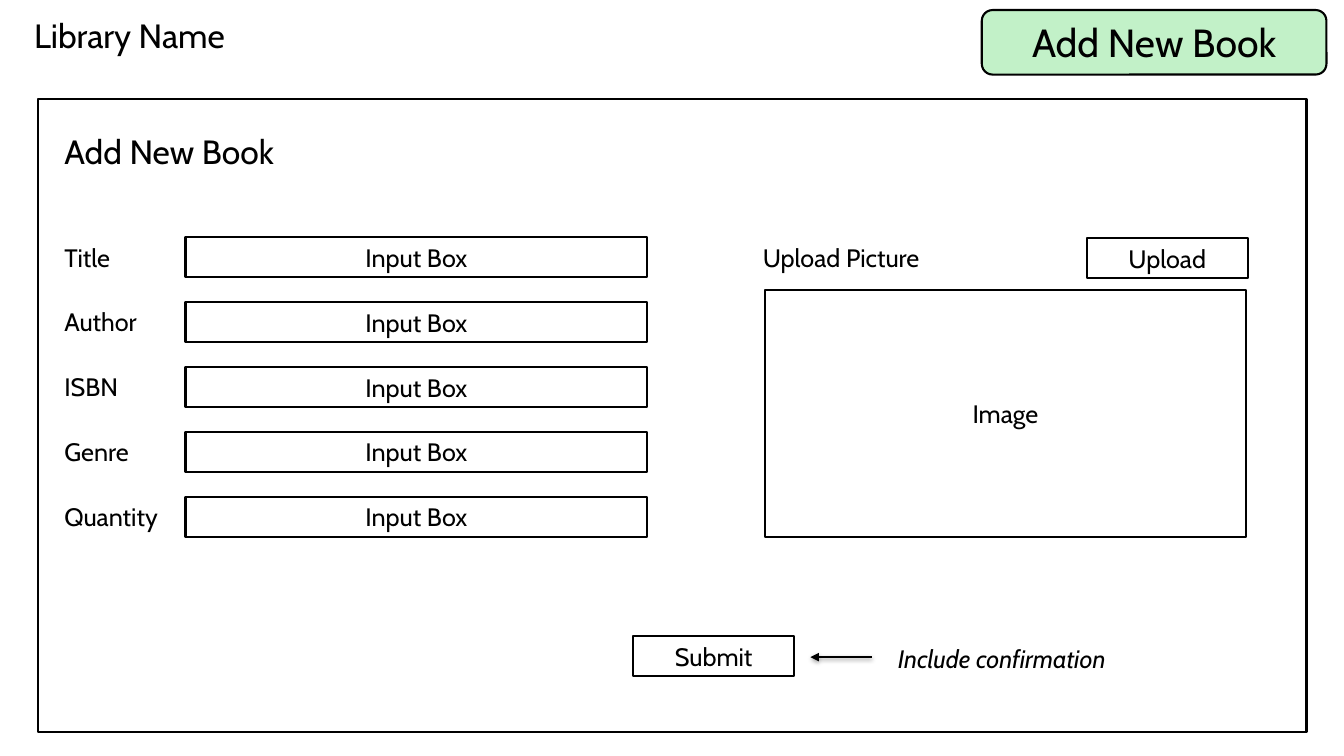
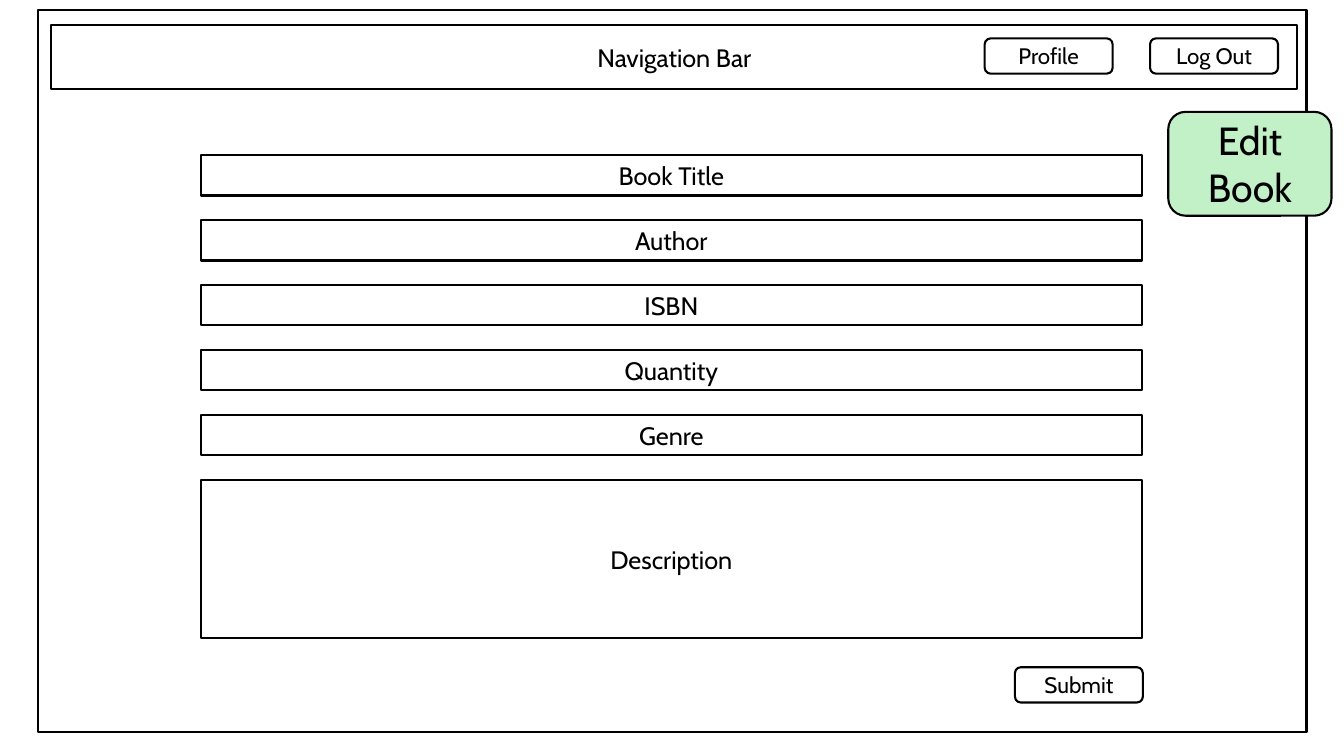
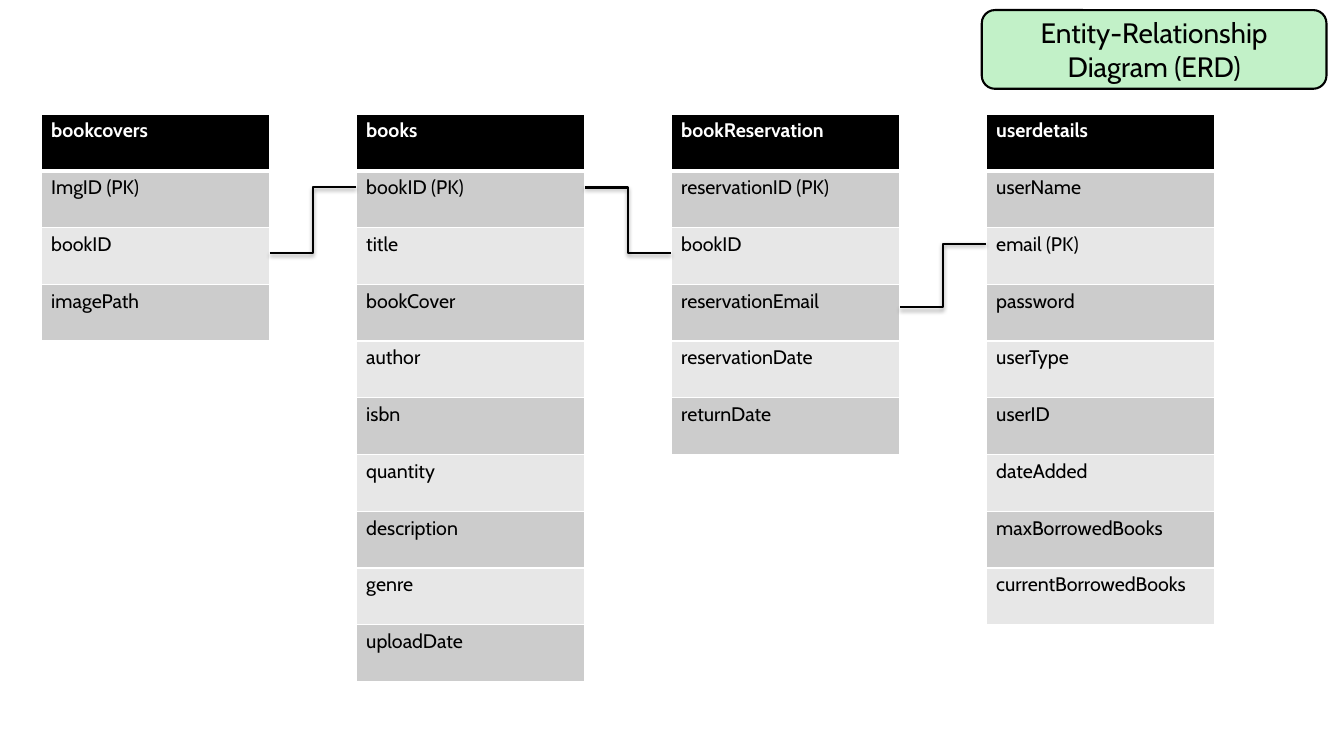
from lxml import etree
from pptx import Presentation
from pptx.dml.color import RGBColor
from pptx.enum.shapes import MSO_CONNECTOR, MSO_SHAPE
from pptx.enum.text import MSO_ANCHOR, PP_ALIGN
from pptx.oxml.ns import qn
from pptx.util import Pt

RECT, ROUND = MSO_SHAPE.RECTANGLE, MSO_SHAPE.ROUNDED_RECTANGLE
STRAIGHT, ELBOW = MSO_CONNECTOR.STRAIGHT, MSO_CONNECTOR.ELBOW
LEFT, CENTER = PP_ALIGN.LEFT, PP_ALIGN.CENTER
TOP, MIDDLE = MSO_ANCHOR.TOP, MSO_ANCHOR.MIDDLE

BLACK = RGBColor(0x00, 0x00, 0x00)
WHITE = RGBColor(0xFF, 0xFF, 0xFF)
GREEN = RGBColor(0xC2, 0xF1, 0xC8)
BANDS = (RGBColor(0xE7, 0xE7, 0xE7), RGBColor(0xCC, 0xCC, 0xCC))
FONT = "Cabin"
LINE_WIDTH = 1.5

# Shared layout, in points
FRAME_LEFT, FRAME_WIDTH = 27.4, 905.8
FIELD_HEIGHT, FIELD_PITCH = 28.8, 46.4
BUTTON_SIZE = (115.2, 28.8)
ROUND_BUTTON_SIZE = (91.4, 25.2)

# Add New Book form
INPUT_LABELS = ["Title", "Author", "ISBN", "Genre", "Quantity"]
INPUT_TOP = 169.2
FORM_TEXTS = [  # text, left, top, width, format
    ("Library Name", 17.3, 7.2, 411.8, {"size": Pt(24)}),
    ("Add New Book", 38.9, 90, 411.8, {"size": Pt(24)}),
    ("Upload Picture", 537.8, INPUT_TOP, 197.3, {}),
    ("Include confirmation", 634.3, 455.8, 190.1, {"italic": True}),
]
FORM_BOXES = [
    ("Upload", (776.2, 169.9, *BUTTON_SIZE)),
    ("Submit", (452.2, 454.3, *BUTTON_SIZE)),
    ("Image", (546.5, 207.4, 343.4, 176.4)),
]

# Edit Book form
EDIT_FIELDS = ["Book Title", "Author", "ISBN", "Quantity", "Genre", "Description"]
EDIT_TOP, DESCRIPTION_HEIGHT = 110.9, 113
NAV_BUTTONS = [("Profile", 703.4), ("Log Out", 821.5)]

# Entity-relationship diagram
ENTITIES = [
    ["bookcovers", "ImgID (PK)", "bookID", "imagePath"],
    ["books", "bookID (PK)", "title", "bookCover", "author", "isbn", "quantity",
     "description", "genre", "uploadDate"],
    ["bookReservation", "reservationID (PK)", "bookID", "reservationEmail",
     "reservationDate", "returnDate"],
    ["userdetails", "userName", "email (PK)", "password", "userType", "userID",
     "dateAdded", "maxBorrowedBooks", "currentBorrowedBooks"],
]
ENTITY_LEFT, ENTITY_TOP, ENTITY_PITCH = 29.4, 81.4, 225
ENTITY_WIDTH, ROW_HEIGHT = 163.4, 40.55
LINKS = [(180.7, 133.9), (133.9, 180.7), (219.6, 174.2)]  # y at left, y at right


def points(values):
    return [Pt(value) for value in values]


def write(frame, text, align=LEFT, anchor=TOP, **formats):
    frame.word_wrap = True
    frame.vertical_anchor = anchor
    para = frame.paragraphs[0]
    para.alignment = align
    span = para.add_run()
    span.text = text
    color = formats.pop("color", BLACK)
    for name, value in {"name": FONT, "size": Pt(18), **formats}.items():
        setattr(span.font, name, value)
    span.font.color.rgb = color


def add_box(shapes, place, text="", size=18, kind=RECT, fill=WHITE):
    box = shapes.add_shape(kind, *points(place))
    box.shadow.inherit = False
    box.fill.solid()
    box.fill.fore_color.rgb = fill
    box.line.color.rgb = BLACK
    box.line.width = Pt(LINE_WIDTH)
    if text:
        write(box.text_frame, text, CENTER, MIDDLE, size=Pt(size))
    return box


def add_badge(page, text, size=28, place=(701.3, 7.2, 246.2, 46.1)):
    add_box(page.shapes, place, text, size, ROUND, GREEN)


def add_text(page, text, left, top, width, formats):
    box = page.shapes.add_textbox(*points((left, top, width, FIELD_HEIGHT)))
    write(box.text_frame, text, **formats)


def add_link(page, kind, ends, arrow=False):
    link = page.shapes.add_connector(kind, *points(ends))
    link.line.color.rgb = BLACK
    link.line.width = Pt(LINE_WIDTH)
    if arrow:
        etree.SubElement(link.line._get_or_add_ln(), qn("a:tailEnd"), type="triangle")
    effects = etree.SubElement(link._element.spPr, qn("a:effectLst"))
    shadow = etree.SubElement(effects, qn("a:outerShdw"), blurRad="40000",
                              dist="20000", dir="5400000", rotWithShape="0")
    color = etree.SubElement(shadow, qn("a:srgbClr"), val=str(BLACK))
    etree.SubElement(color, qn("a:alpha"), val="38000")


def set_borders(cell, widths):
    properties = cell._tc.get_or_add_tcPr()
    for index, (side, width) in enumerate(widths.items()):
        line = etree.Element(qn("a:ln" + side), w=str(Pt(width)))
        fill = etree.SubElement(line, qn("a:solidFill"))
        etree.SubElement(fill, qn("a:srgbClr"), val=str(WHITE))
        properties.insert(index, line)


def add_entity(page, left, names):
    place = (left, ENTITY_TOP, ENTITY_WIDTH, ROW_HEIGHT * len(names))
    table = page.shapes.add_table(len(names), 1, *points(place)).table
    for index, name in enumerate(names):
        header = index == 0
        table.rows[index].height = Pt(ROW_HEIGHT)
        cell = table.cell(index, 0)
        cell.fill.solid()
        cell.fill.fore_color.rgb = BLACK if header else BANDS[index % 2]
        set_borders(cell, {"L": 1, "R": 1, "T": 3 if index == 1 else 1,
                           "B": 3 if header else 1})
        write(cell.text_frame, name, size=Pt(14), bold=header,
              color=WHITE if header else BLACK)


def build_add_page(page):
    add_badge(page, "Add New Book")
    add_box(page.shapes, (FRAME_LEFT, 70.6, FRAME_WIDTH, 452.2))
    for item in FORM_TEXTS:
        add_text(page, *item)
    for index, label in enumerate(INPUT_LABELS):
        top = INPUT_TOP + index * FIELD_PITCH
        add_text(page, label, 38.9, top, 197.3, {})
        add_box(page.shapes, (132.5, top, 329.8, FIELD_HEIGHT), "Input Box")
    for text, place in FORM_BOXES:
        add_box(page.shapes, place, text)
    add_link(page, STRAIGHT, (622.8, 469.4, 578.9, 469.4), arrow=True)


def build_edit_page(page):
    add_box(page.shapes, (FRAME_LEFT, 7.2, FRAME_WIDTH, 515.5))
    add_badge(page, "Edit Book", place=(834.5, 79.9, 116.6, 74.2))
    # Navigation bar with its buttons
    bar = page.shapes.add_group_shape().shapes
    add_box(bar, (36.7, 18, 889.9, 45.4), "Navigation Bar")
    for text, left in NAV_BUTTONS:
        add_box(bar, (left, 27.4, *ROUND_BUTTON_SIZE), text, 16, ROUND)
    # Stacked fields
    for index, text in enumerate(EDIT_FIELDS):
        height = DESCRIPTION_HEIGHT if text == "Description" else FIELD_HEIGHT
        top = EDIT_TOP + index * FIELD_PITCH
        add_box(page.shapes, (143.3, top, 672.5, height), text)
    add_box(page.shapes, (725, 476.6, *ROUND_BUTTON_SIZE), "Submit", 16, ROUND)


def build_diagram_page(page):
    add_badge(page, "Entity-Relationship Diagram (ERD)", 20, (701.3, 7.2, 246.2, 56.2))
    lefts = [ENTITY_LEFT + index * ENTITY_PITCH for index in range(len(ENTITIES))]
    for left, names in zip(lefts, ENTITIES):
        add_entity(page, left, names)
    for left, right, (start, end) in zip(lefts, lefts[1:], LINKS):
        add_link(page, ELBOW, (left + ENTITY_WIDTH, start, right, end))


def main():
    deck = Presentation()
    deck.slide_width, deck.slide_height = Pt(960), Pt(540)
    for build in (build_add_page, build_edit_page, build_diagram_page):
        build(deck.slides.add_slide(deck.slide_layouts[6]))
    deck.save("out.pptx")


if __name__ == "__main__":
    main()
